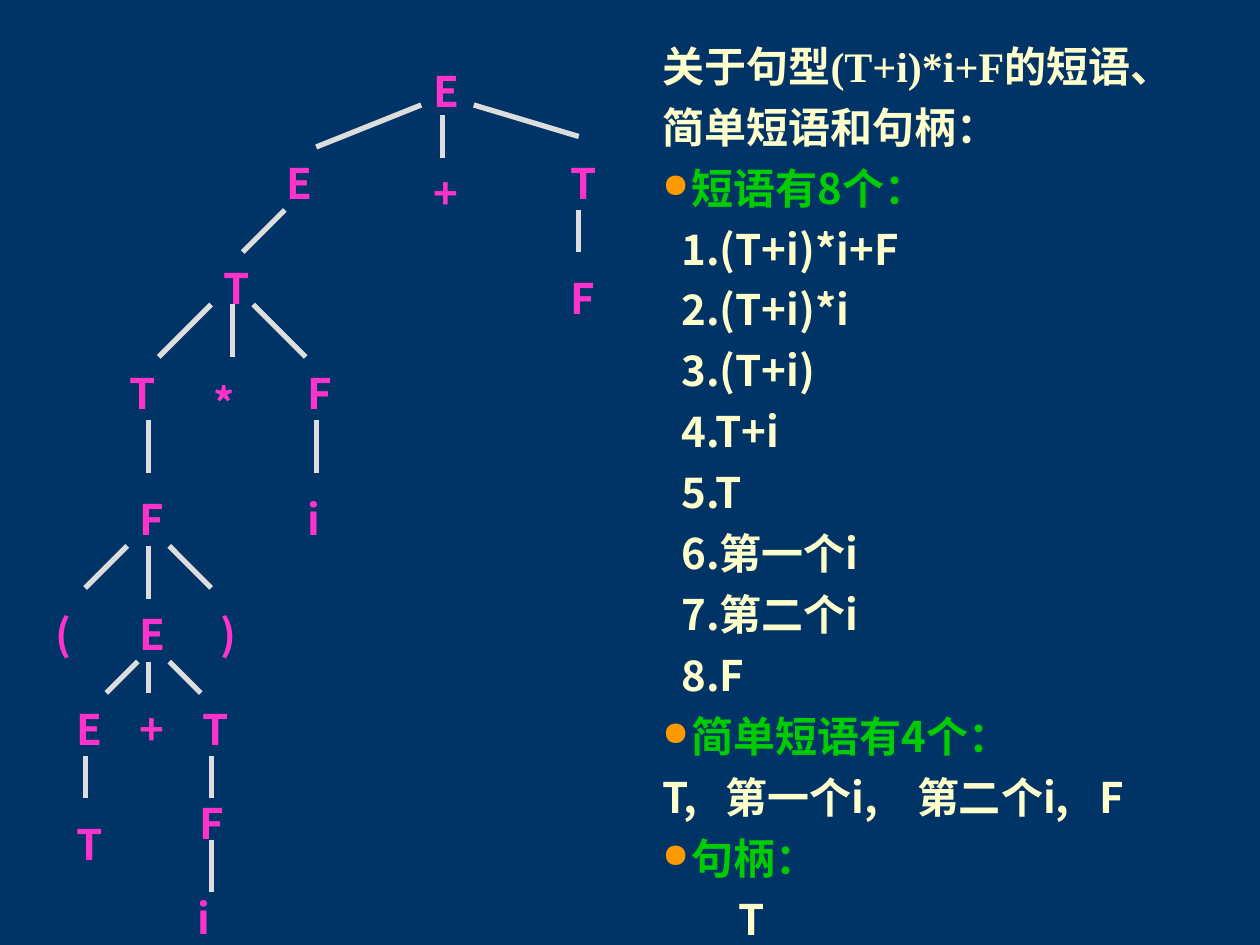
from lxml.etree import SubElement
from pptx import Presentation
from pptx.dml.color import RGBColor
from pptx.enum.shapes import MSO_CONNECTOR
from pptx.enum.text import MSO_AUTO_SIZE
from pptx.oxml.ns import qn
from pptx.util import Inches, Pt

SANS, SERIF = "Noto Sans CJK SC", "Times New Roman"
NAVY, CREAM, GREEN = "003366", "FFFFCC", "00CC00"
ORANGE, PINK, GRAY = "FF9900", "FF33CC", "DDDDDD"
UNIT = 1 / 12  # grid step in inches

# Symbol, column, row, width in grid steps
NODES = [
    ("E", 40, 5.25, 14),
    ("E", 26, 14, 6), ("+", 40, 15, 8), ("T", 53, 14, 6),
    ("T", 20, 24, 10), ("F", 53, 25, 5),
    ("T", 11, 34, 6), ("*", 19, 35, 5), ("F", 28, 34, 6),
    ("F", 12, 46, 5), ("i", 28, 46, 4),
    ("(", 4, 57, 4), ("E", 12, 57, 4), (")", 19.75, 57, 7),
    ("E", 6, 66, 5), ("+", 12, 66, 4), ("T", 18, 66, 7),
    ("T", 6, 77, 5), ("F", 17.75, 75, 6), ("i", 17.5, 84, 6),
]
# Start column and row, end column and row
BRANCHES = [
    (40, 10, 30, 14), (42, 11, 42, 15), (45, 10, 55, 13),
    (27, 20, 23, 24), (55, 20, 55, 24),
    (20, 29, 15, 34), (22, 29, 22, 34), (24, 29, 29, 34),
    (14, 40, 14, 45), (30, 40, 30, 45),
    (12, 52, 8, 56), (14, 52, 14, 57), (16, 52, 20, 56),
    (13, 63, 10, 66), (14, 63, 14, 66), (16, 63, 19, 66),
    (8, 72, 8, 76), (20, 72, 20, 76), (20, 80, 20, 85),
]
# Kind of line, text
NOTES = [
    ("title", "关于句型(T+i)*i+F的短语、"),
    ("title", "简单短语和句柄："),
    ("bullet", "短语有8个："),
    ("item", "1.(T+i)*i+F"),
    ("item", "2.(T+i)*i"),
    ("item", "3.(T+i)"),
    ("item", "4.T+i"),
    ("item", "5.T"),
    ("item", "6.第一个i"),
    ("item", "7.第二个i"),
    ("item", "8.F"),
    ("bullet", "简单短语有4个："),
    ("row", "T,\t第一个i,\t第二个i,\tF"),
    ("bullet", "句柄："),
    ("answer", "T"),
]
# Font, colour, left margin in inches
STYLES = {
    "title": (SERIF, CREAM, 0),
    "bullet": (SANS, GREEN, 0.23),
    "item": (SANS, CREAM, 0.15),
    "row": (SANS, CREAM, 0),
    "answer": (SANS, CREAM, 0.6),
}
ROW_TABS = (0.5, 2.02, 3.47)


def color(value):
    return RGBColor.from_string(value)


def add_text_frame(slide, left, top, width, height):
    box = slide.shapes.add_textbox(*map(Inches, (left, top, width, height)))
    frame = box.text_frame
    frame.word_wrap = True
    frame.auto_size = MSO_AUTO_SIZE.SHAPE_TO_FIT_TEXT
    frame.margin_top, frame.margin_bottom = Inches(0.08), Inches(0.02)
    return frame


def add_run(paragraph, text, font_name, text_color):
    paragraph.line_spacing = Pt(28.8)
    run = paragraph.add_run()
    run.text = text
    run.font.name, run.font.size, run.font.bold = font_name, Pt(24), True
    run.font.color.rgb = color(text_color)
    SubElement(run.font._element, qn("a:ea"), typeface=SANS)


def add_bullet(paragraph, indent):
    properties = paragraph._p.get_or_add_pPr()
    properties.set("indent", str(-Inches(indent)))
    bullet_color = SubElement(properties, qn("a:buClr"))
    SubElement(bullet_color, qn("a:srgbClr"), val=ORANGE)
    SubElement(properties, qn("a:buSzPct"), val="80000")
    SubElement(properties, qn("a:buChar"), char="●")


def add_tabs(paragraph, positions):
    tabs = SubElement(paragraph._p.get_or_add_pPr(), qn("a:tabLst"))
    for position in positions:
        SubElement(tabs, qn("a:tab"), pos=str(Inches(position)), algn="l")


def add_syntax_tree(slide, left, top):
    for start_column, start_row, end_column, end_row in BRANCHES:
        branch = slide.shapes.add_connector(
            MSO_CONNECTOR.STRAIGHT,
            Inches(left + start_column * UNIT), Inches(top + start_row * UNIT),
            Inches(left + end_column * UNIT), Inches(top + end_row * UNIT))
        branch.line.color.rgb = color(GRAY)
        branch.line.width = Pt(3)
        SubElement(branch._element.spPr, qn("a:effectLst"))
    for symbol, column, row, width in NODES:
        frame = add_text_frame(slide, left + column * UNIT, top + row * UNIT,
                               width * UNIT, 6 * UNIT)
        add_run(frame.paragraphs[0], symbol, SANS, PINK)


def add_notes(slide, left, top, width, height):
    frame = add_text_frame(slide, left, top, width, height)
    for index, (kind, text) in enumerate(NOTES):
        paragraph = frame.add_paragraph() if index else frame.paragraphs[0]
        font_name, text_color, margin = STYLES[kind]
        paragraph._p.get_or_add_pPr().set("marL", str(Inches(margin)))
        if kind == "bullet":
            add_bullet(paragraph, margin)
        elif kind == "row":
            add_tabs(paragraph, ROW_TABS)
        if index:
            paragraph.space_before = Pt(6)
        add_run(paragraph, text, font_name, text_color)


def main():
    presentation = Presentation()
    presentation.slide_width, presentation.slide_height = Inches(10), Inches(7.5)
    slide = presentation.slides.add_slide(presentation.slide_layouts[6])
    slide.background.fill.solid()
    slide.background.fill.fore_color.rgb = color(NAVY)
    add_notes(slide, 5.16, 0.24, 4.57, 7.67)
    add_syntax_tree(slide, 0.01, 0)
    presentation.save("out.pptx")


if __name__ == "__main__":
    main()
